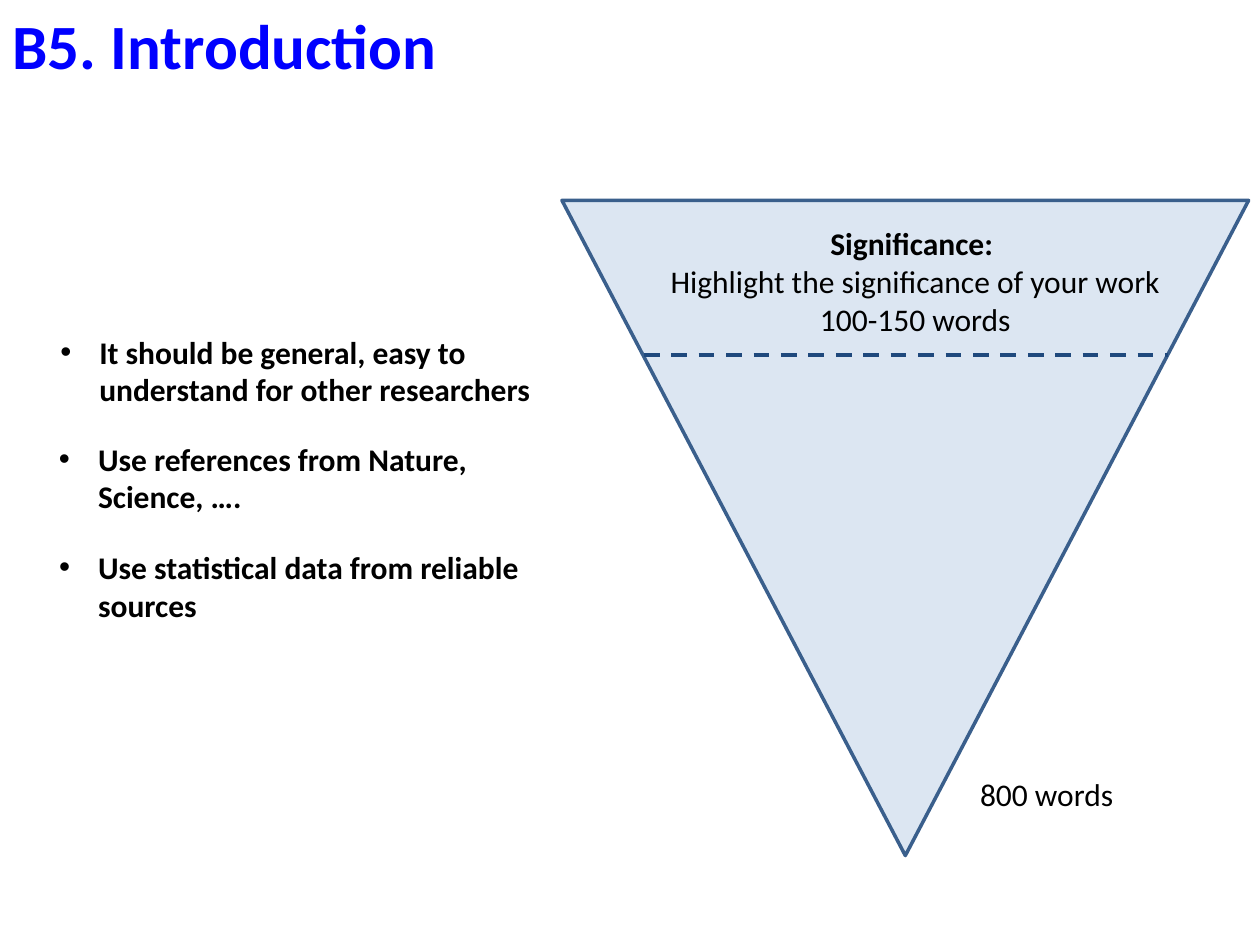
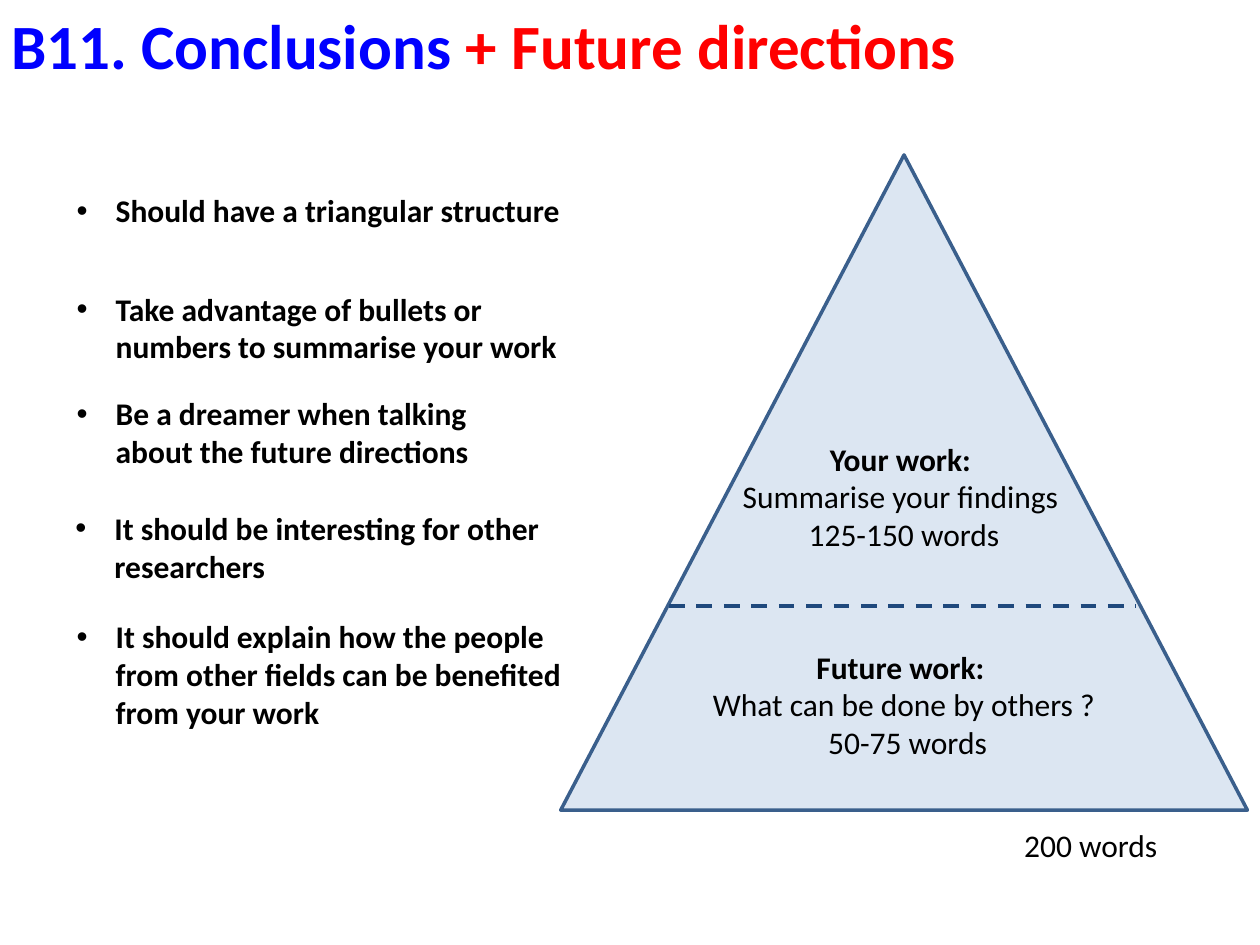
import pptx
import pptx.util
import pptx.dml.color
import pptx.enum.dml
import pptx.enum.shapes
import pptx.enum.text
import pptx.oxml.ns
from lxml import etree

Inches, Pt = pptx.util.Inches, pptx.util.Pt
ALIGN = pptx.enum.text.PP_ALIGN

FONT = "Calibri"
BLACK, BLUE, RED = "000000", "0000FF", "FF0000"
TRIANGLE_FILL, TRIANGLE_LINE, DASH_LINE = "DCE6F2", "3A5F8C", "1F497D"
TRIANGLE_W, TRIANGLE_H = 5.45, 5.2
LINE_H, PADDING = 0.3, 0.1
BULLET_INDENT = 0.31


def rgb(hex_color):
    return pptx.dml.color.RGBColor.from_string(hex_color)


def write(shape, paragraphs, size=18, align=ALIGN.LEFT, bullet=False):
    """Fill a shape with paragraphs, each a list of (text, bold, colour) runs."""
    tf = shape.text_frame
    tf.word_wrap = True
    tf.auto_size = pptx.enum.text.MSO_AUTO_SIZE.NONE
    tf.vertical_anchor = pptx.enum.text.MSO_ANCHOR.TOP
    for i, runs in enumerate(paragraphs):
        p = tf.paragraphs[0] if i == 0 else tf.add_paragraph()
        p.alignment = align
        p.space_before = Pt(0)
        if bullet:
            pPr = p._p.get_or_add_pPr()
            pPr.set("marL", str(Inches(BULLET_INDENT)))
            pPr.set("indent", str(-Inches(BULLET_INDENT)))
            etree.SubElement(pPr, pptx.oxml.ns.qn("a:buFont"), typeface="Arial")
            etree.SubElement(pPr, pptx.oxml.ns.qn("a:buChar"), char="•")
        for text, bold, color in runs:
            r = p.add_run()
            r.text = text
            r.font.name = FONT
            r.font.size = Pt(size)
            r.font.bold = bold
            r.font.color.rgb = rgb(color)


# Bullets: text, left, top, width, lines. Sections: heading, details, left, top, width.
slides = [
    {
        "title": [("B5. Introduction", True, BLUE)],
        "title_left": 0,
        "triangle": (4.46, 1.59, 180),
        "divider": (5.11, 9.27, 2.82),
        "sections": [
            ("Significance: ", ["Highlight the significance of your work", "100-150 words"],
             5.18, 1.73, 4.17),
        ],
        "total": ("800 words", 7.68, 6.1),
        "bullets": [
            ("It should be general, easy to understand for other researchers", 0.38, 2.59, 4.02, 2),
            ("Use references from Nature, Science, ….", 0.37, 3.44, 3.94, 2),
            ("Use statistical data from reliable sources", 0.37, 4.3, 4.09, 2),
        ],
    },
    {
        "title": [("B11. Conclusions ", True, BLUE), ("+ Future directions", True, RED)],
        "title_left": -0.01,
        "triangle": (4.45, 1.23, 0),
        "divider": (5.31, 9.02, 4.81),
        "sections": [
            ("Your work: ", ["Summarise your findings ", "125-150 words"], 5.72, 3.44, 2.91),
            ("Future work: ", ["What can be done by others ?", " 50-75 words"], 5.52, 5.09, 3.31),
        ],
        "total": ("200 words", 8.03, 6.51),
        "bullets": [
            ("Should have a triangular structure", 0.51, 1.47, 4.17, 1),
            ("Take advantage of bullets or numbers to summarise your work", 0.51, 2.25, 4.09, 2),
            ("Be a dreamer when talking about the future directions", 0.51, 3.08, 3.62, 2),
            ("It should be interesting for other researchers", 0.5, 3.99, 4.46, 2),
            ("It should explain how the people from other fields can be benefited from your work",
             0.51, 4.85, 4.18, 3),
        ],
    },
]

prs = pptx.Presentation()
prs.slide_width, prs.slide_height = Inches(10), Inches(7.5)

for content in slides:
    s = prs.slides.add_slide(prs.slide_layouts[5])

    title = s.shapes.title
    title.left, title.top = Inches(content["title_left"]), Inches(0)
    title.width, title.height = Inches(8.2), Inches(0.71)
    write(title, [content["title"]], size=36)

    left, top, rotation = content["triangle"]
    triangle = s.shapes.add_shape(
        pptx.enum.shapes.MSO_SHAPE.ISOSCELES_TRIANGLE,
        Inches(left), Inches(top), Inches(TRIANGLE_W), Inches(TRIANGLE_H))
    triangle.rotation = rotation
    triangle.shadow.inherit = False
    triangle.fill.solid()
    triangle.fill.fore_color.rgb = rgb(TRIANGLE_FILL)
    triangle.line.color.rgb = rgb(TRIANGLE_LINE)
    triangle.line.width = Pt(2)

    x1, x2, y = content["divider"]
    divider = s.shapes.add_connector(
        pptx.enum.shapes.MSO_CONNECTOR.STRAIGHT, Inches(x1), Inches(y), Inches(x2), Inches(y))
    divider.line.color.rgb = rgb(DASH_LINE)
    divider.line.width = Pt(2.25)
    divider.line.dash_style = pptx.enum.dml.MSO_LINE.DASH
    etree.SubElement(divider._element.spPr, pptx.oxml.ns.qn("a:effectLst"))

    for heading, details, left, top, width in content["sections"]:
        box = s.shapes.add_textbox(
            Inches(left), Inches(top), Inches(width), Inches(3 * LINE_H + PADDING))
        write(box, [[(heading, True, BLACK)]] + [[(text, False, BLACK)] for text in details],
              align=ALIGN.CENTER)

    text, left, top = content["total"]
    box = s.shapes.add_textbox(Inches(left), Inches(top), Inches(1.5), Inches(LINE_H + PADDING))
    write(box, [[(text, False, BLACK)]])

    for text, left, top, width, lines in content["bullets"]:
        box = s.shapes.add_textbox(
            Inches(left), Inches(top), Inches(width), Inches(lines * LINE_H + PADDING))
        write(box, [[(text, True, BLACK)]], bullet=True)

prs.save("out.pptx")
